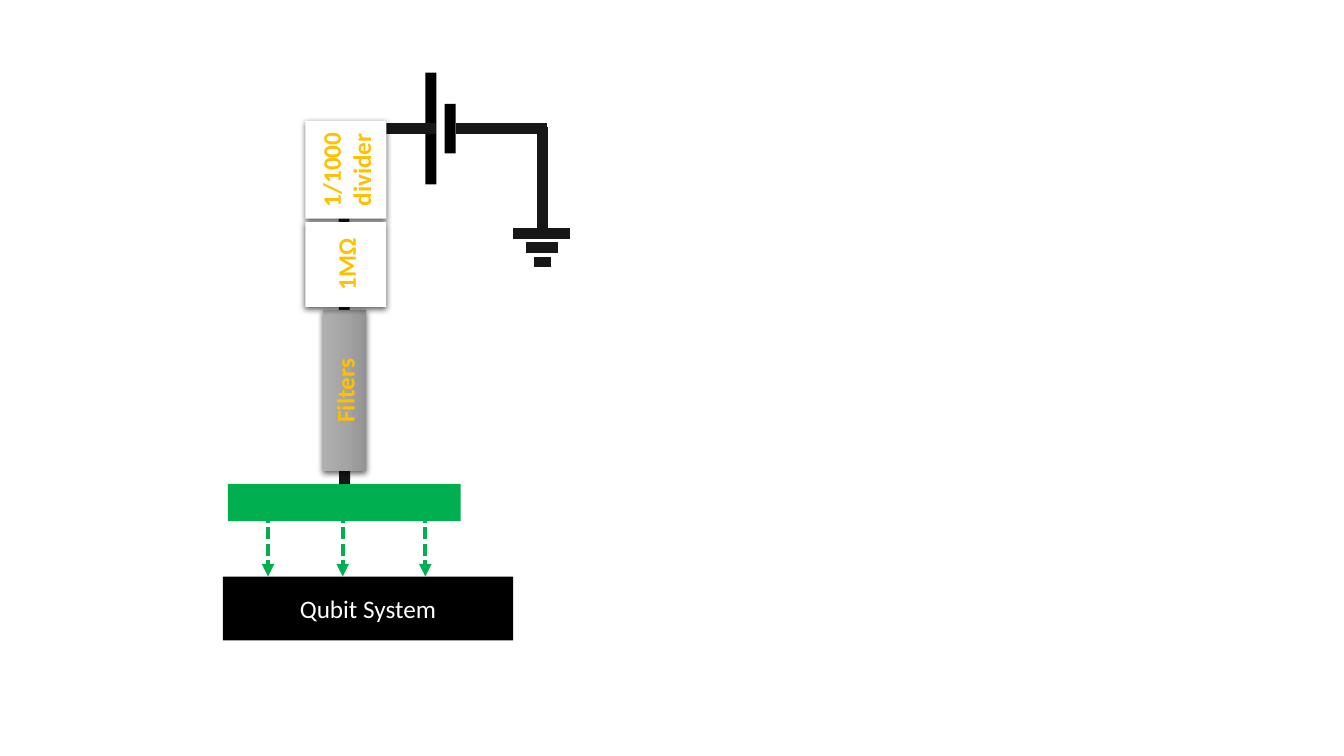
"""Build a slide showing the filtered voltage supply of a qubit system."""
from pptx import Presentation
from pptx import util as u
from pptx.dml import color
from pptx.enum import dml, shapes, text
from pptx.oxml import ns, parse_xml

BLACK = color.RGBColor(0x00, 0x00, 0x00)
WHITE = color.RGBColor(0xFF, 0xFF, 0xFF)
WIRE = color.RGBColor(0x18, 0x17, 0x17)
GREEN = color.RGBColor(0x00, 0xB0, 0x50)
AMBER = color.RGBColor(0xFF, 0xC0, 0x00)
GREYS = {
    0: color.RGBColor(0xAF, 0xAF, 0xAF),
    50: color.RGBColor(0xA5, 0xA5, 0xA5),
    100: color.RGBColor(0x93, 0x93, 0x93),
}
WIRE_WIDTH = 7.75
UPRIGHT = 270


def drawing_xml(markup):
    """Turn DrawingML markup with one open root tag into an element."""
    root, rest = markup.split(">", 1)
    close = "/" if root.endswith("/") else ""
    return parse_xml(f"{root.rstrip('/')} {ns.nsdecls('a')}{close}>{rest}")


def add_block(page, left, top, width, height, fill, rotation=0):
    """Add a plain rectangle with a solid fill and no outline."""
    block = page.shapes.add_shape(
        shapes.MSO_SHAPE.RECTANGLE, u.Pt(left), u.Pt(top), u.Pt(width), u.Pt(height)
    )
    block.shadow.inherit = False
    block.fill.solid()
    block.fill.fore_color.rgb = fill
    block.line.fill.background()
    block.rotation = rotation
    return block


def write_label(block, words, ink, bold=False):
    """Write a centred label into a block."""
    frame = block.text_frame
    frame.text = words
    frame.word_wrap = True
    frame.vertical_anchor = text.MSO_ANCHOR.MIDDLE
    para = frame.paragraphs[0]
    para.alignment = text.PP_ALIGN.CENTER
    font = para.runs[0].font
    font.name = "Calibri"
    font.size = u.Pt(18)
    font.bold = bold
    font.color.rgb = ink


def add_stage(page, words, left, top, width, height):
    """Add an upright, shadowed stage of the supply line."""
    stage = add_block(page, left, top, width, height, WHITE, UPRIGHT)
    write_label(stage, words, AMBER, bold=True)
    effects = stage._element.spPr.find(ns.qn("a:effectLst"))
    effects.append(drawing_xml(
        '<a:outerShdw blurRad="57150" dist="19050" dir="5400000" algn="ctr" rotWithShape="0">'
        '<a:srgbClr val="000000"><a:alpha val="63000"/></a:srgbClr></a:outerShdw>'
    ))
    return stage


def shade(block, stops):
    """Replace the solid fill of a block by a gradient down its height."""
    marks = "".join(
        f'<a:gs pos="{place * 1000}"><a:srgbClr val="{tone}"/></a:gs>'
        for place, tone in stops.items()
    )
    gradient = drawing_xml(
        f'<a:gradFill rotWithShape="1"><a:gsLst>{marks}</a:gsLst>'
        '<a:lin ang="5400000" scaled="0"/></a:gradFill>'
    )
    properties = block._element.spPr
    properties.replace(properties.find(ns.qn("a:solidFill")), gradient)


def add_wire(parent, start, end, ink=WIRE, width=WIRE_WIDTH):
    """Add a straight line between two points."""
    wire = parent.shapes.add_connector(
        shapes.MSO_CONNECTOR.STRAIGHT, *(u.Pt(value) for value in start + end)
    )
    wire.line.color.rgb = ink
    wire.line.width = u.Pt(width)
    wire._element.spPr.append(drawing_xml("<a:effectLst/>"))
    return wire


def add_signal(page, x):
    """Add a dashed arrow from the green bar down to the qubit system."""
    signal = add_wire(page, (x, 364.3), (x, 411.8), GREEN, 3)
    signal.line.dash_style = dml.MSO_LINE.SQUARE_DOT
    outline = signal._element.spPr.find(ns.qn("a:ln"))
    outline.append(drawing_xml('<a:tailEnd type="triangle"/>'))


def add_ground(page):
    """Add the grouped bars of the ground symbol."""
    ground = page.shapes.add_group_shape()
    for step, (right, left) in enumerate([(407.5, 366.5), (398.9, 375.8), (393.8, 381.6)]):
        y = 167 + 10.1 * step
        add_wire(ground, (right, y), (left, y))


def main():
    """Build and save the slide."""
    deck = Presentation()
    deck.slide_width, deck.slide_height = u.Pt(960), u.Pt(540)
    page = deck.slides.add_slide(deck.slide_layouts[6])

    add_block(page, 303.8, 51.8, 7.9, 79.9, BLACK)
    add_block(page, 317.5, 74.2, 7.9, 35.3, BLACK)
    add_block(page, 232.6, 275.8, 26.6, 166.3, GREEN, UPRIGHT)
    system = add_block(page, 159.1, 411.8, 207.4, 45.6, BLACK)
    write_label(system, "Qubit System", WHITE)

    add_ground(page)
    for start, end in [
        ((391, 91.6), (325.4, 91.6)),
        ((387.4, 167), (387.4, 90.7)),
        ((245.5, 91.6), (246.2, 345.6)),
        ((311.8, 91.6), (241.9, 91.6)),
    ]:
        add_wire(page, start, end)
    for x in (191.5, 244.8, 303.8):
        add_signal(page, x)

    filters = add_stage(page, "Filters", 188.6, 263.5, 115.2, 31.2)
    shade(filters, GREYS)
    add_stage(page, "1/1000 divider", 212.2, 92.4, 69.8, 57.8)
    add_stage(page, "1MΩ", 216.7, 160, 60.5, 57.8)

    deck.save("out.pptx")


if __name__ == "__main__":
    main()
